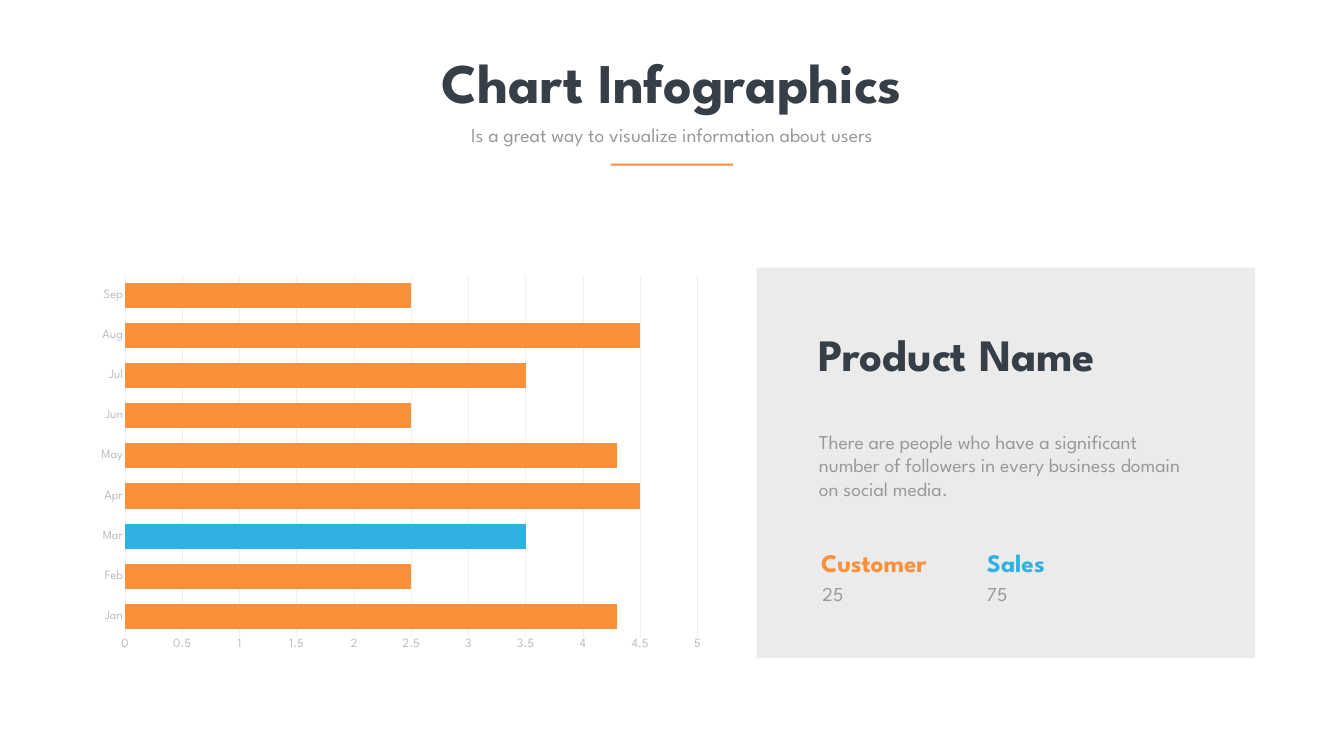
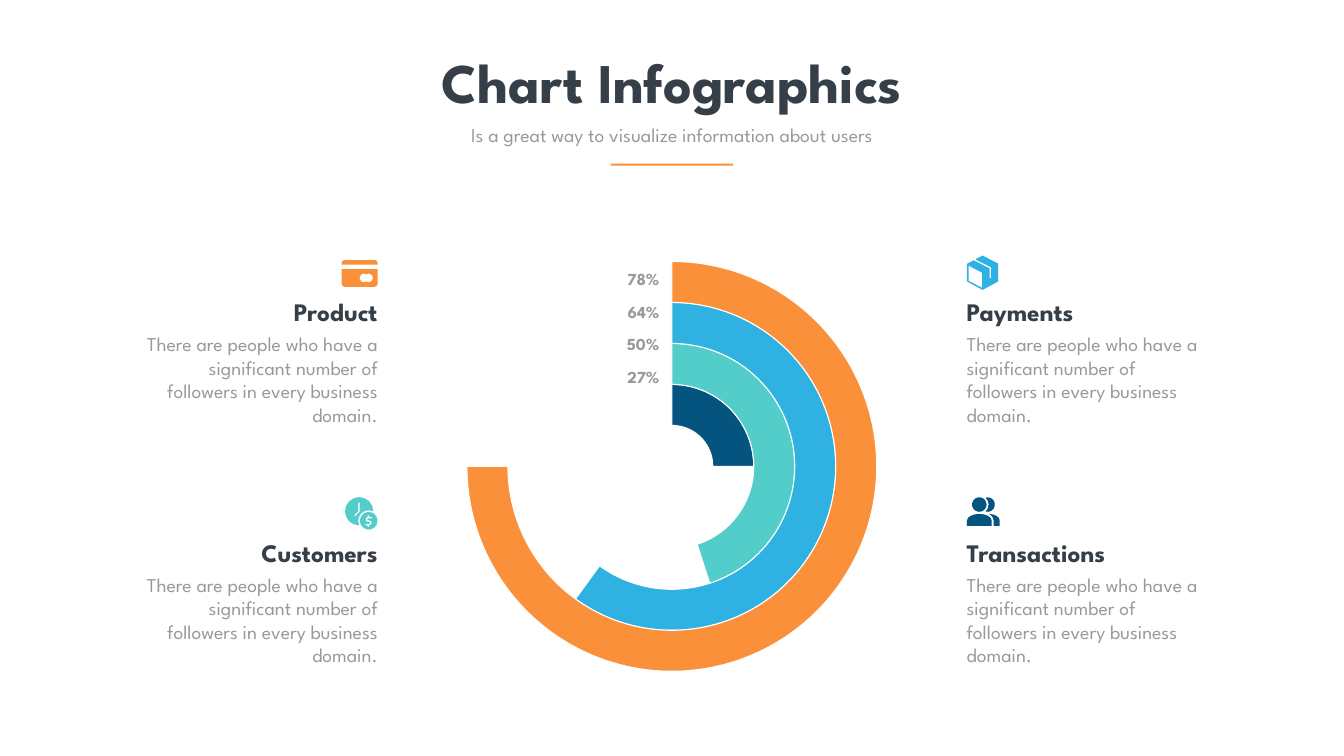
import math

from lxml import etree
from pptx import Presentation
from pptx.chart.data import CategoryChartData
from pptx.dml.color import RGBColor
from pptx.enum import chart as charts, shapes, text
from pptx.oxml import ns
from pptx.util import Pt

FONT = "League Spartan"
ORANGE, BLUE, TEAL, NAVY = "FB903A", "2FB2E1", "53CDCA", "05537F"
INK, GREY, PALE, GRID, PANEL, WHITE = "363E48", "999999", "BDBDBD", "F0F0F0", "EBEBEB", "FFFFFF"
LEFT, CENTER, RIGHT = text.PP_ALIGN.LEFT, text.PP_ALIGN.CENTER, text.PP_ALIGN.RIGHT


def color(value):
    return RGBColor.from_string(value)


def paint(part, fill):
    part.fill.solid()
    part.fill.fore_color.rgb = color(fill)


def style_font(font, size, ink, bold=False):
    font.name, font.size, font.bold = FONT, Pt(size), bold
    font.color.rgb = color(ink)


def place(part, left, top, width, height):
    part.left, part.top, part.width, part.height = map(Pt, (left, top, width, height))


def write(holder, words, size, ink, bold=False, align=LEFT, spacing=None, inset=(7.2, 3.6),
          anchor=text.MSO_ANCHOR.TOP):
    frame = holder.text_frame
    frame.word_wrap = True
    frame.auto_size = text.MSO_AUTO_SIZE.SHAPE_TO_FIT_TEXT
    frame.vertical_anchor = anchor
    frame.margin_left = frame.margin_right = Pt(inset[0])
    frame.margin_top = frame.margin_bottom = Pt(inset[1])
    frame.text = words
    paragraph = frame.paragraphs[0]
    paragraph.alignment = align
    paragraph.line_spacing = Pt(spacing) if spacing else 1.0
    style_font(paragraph.font, size, ink, bold)


def add_text(slide, box, *args, **options):
    write(slide.shapes.add_textbox(*map(Pt, box)), *args, **options)


def add_block(slide, box, fill):
    block = slide.shapes.add_shape(shapes.MSO_SHAPE.RECTANGLE, *map(Pt, box))
    block.shadow.inherit = False
    block.line.fill.background()
    paint(block, fill)


def add_heading(deck):
    slide = deck.slides.add_slide(deck.slide_layouts[5])
    place(slide.shapes.title, 495.4, 64.8, 929.5, 104.4)
    write(slide.shapes.title, "Chart Infographics", 80, INK, True, CENTER)
    add_text(slide, (615.6, 171.4, 688.3, 41),
             "Is a great way to visualize information about users", 28, GREY, align=CENTER)
    add_block(slide, (872.5, 233.8, 175, 2.9), ORANGE)
    return slide


def add_plot(slide, box, kind, data, ink, inner):
    chart = slide.shapes.add_chart(kind, *map(Pt, box), data).chart
    chart.has_title = chart.has_legend = False
    style_font(chart.font, 18, ink)
    area = chart._chartSpace.chart.plotArea
    for old in area.findall(ns.qn("c:layout")):
        area.remove(old)
    layout = etree.Element(ns.qn("c:layout"))
    manual = etree.SubElement(layout, ns.qn("c:manualLayout"))
    settings = [("layoutTarget", "inner"), ("xMode", "edge"), ("yMode", "edge")]
    for tag, value in settings + list(zip("xywh", inner)):
        etree.SubElement(manual, ns.qn(f"c:{tag}")).set("val", str(value))
    area.insert(0, layout)
    return chart


def add_month_bars(slide, box):
    data = CategoryChartData()
    data.categories = "Jan Feb Mar Apr May Jun Jul Aug Sep".split()
    data.add_series("Series 1", (4.3, 2.5, 3.5, 4.5, 4.3, 2.5, 3.5, 4.5, 2.5))
    chart = add_plot(slide, box, charts.XL_CHART_TYPE.BAR_CLUSTERED, data, GREY,
                     (0.058, 0.019, 0.916, 0.926))
    bars = chart.plots[0]
    bars.gap_width, bars.overlap, bars.vary_by_categories = 60, -28, False
    paint(bars.series[0].format, ORANGE)
    paint(bars.series[0].points[2].format, BLUE)
    months, amounts = chart.category_axis, chart.value_axis
    for axis in (months, amounts):
        axis.major_tick_mark = axis.minor_tick_mark = charts.XL_TICK_MARK.NONE
        style_font(axis.tick_labels.font, 18, PALE)
    months.has_major_gridlines = False
    amounts.has_major_gridlines = True
    amounts.minimum_scale, amounts.maximum_scale, amounts.major_unit = 0, 5, 0.5
    amounts.format.line.fill.background()
    for line in (months.format.line, amounts.major_gridlines.format.line):
        line.color.rgb, line.width = color(GRID), Pt(0.75)


def add_product_panel(slide, box):
    left, top = box[:2]
    add_block(slide, box, PANEL)
    add_text(slide, (left + 82, top + 228.2, 551, 109),
             "There are people who have a significant number of followers "
             "in every business domain on social media.", 28, GREY)
    add_text(slide, (left + 84.2, top + 80, 497.5, 85.7), "Product Name", 64, INK, True,
             inset=(4.3, 4.3), anchor=text.MSO_ANCHOR.MIDDLE)
    for label, number, ink, label_x, number_x, width in (
            ("Customer", "25", ORANGE, 85, 87, 198), ("Sales", "75", BLUE, 322, 322, 147)):
        add_text(slide, (left + number_x, top + 438.5, width, 45), number, 28, GREY, spacing=40.8)
        add_text(slide, (left + label_x, top + 399, width, 49), label, 36, ink, True, spacing=40.8)


def add_rings(slide, box):
    left, top = box[:2]
    rings = ((25, NAVY), (45, TEAL), (60, BLUE), (75, ORANGE))
    data = CategoryChartData()
    data.categories = ["1", "2"]
    for number, (share, _) in enumerate(rings, 1):
        data.add_series(f"Series {number}", (share, 100 - share))
    chart = add_plot(slide, box, charts.XL_CHART_TYPE.DOUGHNUT, data, WHITE,
                     (0.08, 0.017, 0.84, 0.967))
    doughnut = chart.plots[0]
    doughnut.vary_by_categories = False
    doughnut._element.find(ns.qn("c:holeSize")).set("val", "35")
    for series, (_, fill) in zip(doughnut.series, rings):
        filled, rest = series.points[0].format, series.points[1].format
        paint(filled, fill)
        filled.line.color.rgb, filled.line.width = color(WHITE), Pt(1.5)
        rest.fill.background()
        rest.line.fill.background()
    for row, share in enumerate(("78%", "64%", "50%", "27%")):
        add_text(slide, (left + 258.5, top + 17.3 + 46.8 * row, 79.2, 36), share, 24, GREY, True, RIGHT)


def arc(x, y, rx, ry, start, end):
    steps = math.ceil(abs(end - start) / 24)
    angles = [math.radians(start + (end - start) * i / steps) for i in range(steps + 1)]
    return [(x + rx * math.cos(a), y + ry * math.sin(a)) for a in angles]


def circle(x, y, r, start=0, end=360):
    return arc(x, y, r, r, start, end)


def card_icon():
    strip = circle(4.3, 4.3, 4.3, 180, 270) + circle(46.8, 4.3, 4.3, 270, 360) + [(51.1, 6.5), (0, 6.5)]
    body = [(0, 13), (51.1, 13)] + circle(46.8, 33.9, 4.3, 0, 90) + circle(4.3, 33.9, 4.3, 90, 180)
    seal = circle(31.7, 25.6, 6.15, 58, 302) + circle(38.2, 25.6, 6.15, -122, 122)
    return (51.1, 38.2), [[strip], [body, seal]]


def clock_icon():
    face = circle(20.2, 20.2, 20.2, 89.7, 360.3) + circle(33.8, 33.8, 15, 296.2, 153.8)
    hands = [(18.7, 7.9), (20.9, 7.9), (20.9, 20.9), (14.4, 27.4), (12.9, 26), (18.7, 20.2)]
    dollar = [(33.1, 33.1), (34.6, 33.1), (37.4, 34.6), (38.2, 36.7), (37.4, 38.9), (34.6, 40.3),
              (34.6, 42.5), (32.4, 42.5), (32.4, 40.3), (29.5, 40.3), (29.5, 38.2), (34.6, 38.2),
              (36, 36.7), (34.6, 35.3), (33.1, 35.3), (30.2, 34.6), (29.5, 31.7), (30.2, 29.5),
              (32.4, 28.1), (32.4, 25.9), (34.6, 25.9), (34.6, 28.1), (38.2, 28.1), (38.2, 30.2),
              (33.1, 30.2), (31.7, 31.7)]
    return (46.4, 46.4), [[face, hands], [circle(33.8, 33.8, 12.6), dollar]]


def package_icon():
    parcel = [(44.6, 11.5), (22.3, 0), (13.2, 4.6), (13.2, 6.2), (33.8, 16.6), (34.6, 18),
              (34.6, 32), (32.4, 32), (32.4, 18.4), (31.7, 18), (10, 6.9), (9.4, 6.9),
              (0.5, 11.5), (0, 12.2), (0, 37), (22.3, 49), (44.6, 37)]
    side = [(21.6, 46.1), (2.2, 36), (2.2, 14.4), (21.6, 24.5)]
    return (44.6, 49), [[parcel, side]]


def people_icon():
    back_body = arc(31, 33.1, 15.8, 9.3, -90, 0) + [
        (46.8, 41), (38.2, 41), (38.2, 33.1), (36.7, 28.5), (33.8, 25.2)]
    front_body = arc(17.6, 33.1, 17.6, 9.3, 180, 360) + [(35.3, 41), (0, 41)]
    back_head = circle(29.5, 10.4, 10.4, 106, -106) + circle(17.6, 10.4, 13.4, -47, 47)
    return (46.8, 41), [[back_body], [front_body], [back_head], [circle(17.6, 10.4, 10.4)]]


def add_icon(slide, left, top, parts, fill):
    for contours in parts:
        outlines = [[(Pt(left + x), Pt(top + y)) for x, y in contour] for contour in contours]
        builder = slide.shapes.build_freeform(*outlines[0][0], scale=1.0)
        builder.add_line_segments(outlines[0][1:], close=True)
        for hole in outlines[1:]:
            builder.move_to(*hole[0])
            builder.add_line_segments(hole[1:], close=True)
        outline = builder.convert_to_shape()
        outline.shadow.inherit = False
        outline.line.fill.background()
        paint(outline, fill)


def add_feature(slide, box, name, icon, lift, fill, align):
    left, top, width = box
    (icon_width, icon_height), parts = icon
    icon_left = left + width - 7.2 - icon_width if align == RIGHT else left + 7.6
    add_text(slide, (left, top + 50.8, width, 143),
             "There are people who have a significant number of followers in every business domain.",
             28, GREY, align=align)
    add_text(slide, (left, top, width, 51), name, 36, INK, True, align)
    add_icon(slide, icon_left, top - lift - icon_height / 2, parts, fill)


def build_bar_slide(deck):
    slide = add_heading(deck)
    add_month_bars(slide, (126.7, 382.3, 892.8, 558))
    add_product_panel(slide, (1080.9, 382.3, 712, 558))


def build_ring_slide(deck):
    slide = add_heading(deck)
    add_rings(slide, (611.3, 362.9, 697, 606.2))
    features = (("Product", card_icon(), 29.5, ORANGE), ("Payments", package_icon(), 30.5, BLUE),
                ("Customers", clock_icon(), 30.5, TEAL), ("Transactions", people_icon(), 33, NAVY))
    for index, feature in enumerate(features):
        row, column = divmod(index, 2)
        add_feature(slide, (202.3 + 1171.5 * column, 420.1 + 343.8 * row, 344.2),
                    *feature, (RIGHT, LEFT)[column])


def main():
    deck = Presentation()
    deck.slide_width, deck.slide_height = Pt(1920), Pt(1080)
    build_bar_slide(deck)
    build_ring_slide(deck)
    deck.save("out.pptx")


if __name__ == "__main__":
    main()
